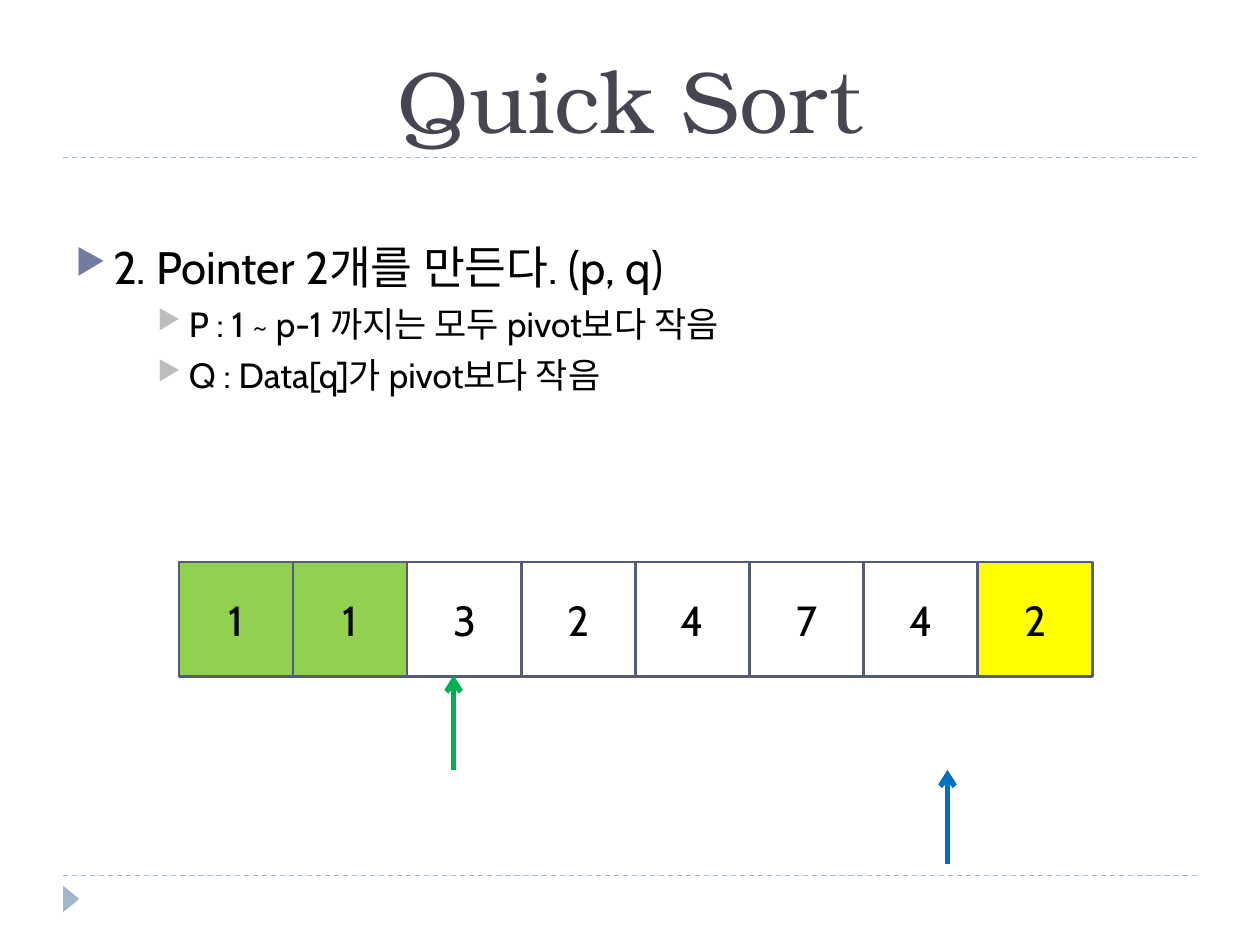
import pptx
import pptx.dml.color
import pptx.enum.dml
import pptx.enum.shapes
import pptx.enum.text
import pptx.oxml
import pptx.oxml.ns
import pptx.util
from pptx.util import Inches

THEME = {
    "title": {"name": "TeX Gyre Bonum", "size": 50, "color": "464653"},
    "point": {"name": "Cabin", "size": 26, "color": "000000"},
    "detail": {"name": "Cabin", "size": 20, "color": "000000"},
    "cell": {"name": "Cabin", "size": 24, "color": "000000"},
    "accent": "9FB8CD",
    "cell_line": "545C79",
    "smaller": "92D050",
    "unsorted": "FFFFFF",
    "pivot": "FFFF00",
}

TITLE = "Quick Sort"
POINTS = [
    (0, "2. Pointer 2개를 만든다. (p, q)"),
    (1, "P : 1 ~ p-1 까지는 모두 pivot보다 작음"),
    (1, "Q : Data[q]가 pivot보다 작음"),
]
LEVELS = [
    {"style": "point", "margin": 0.3, "indent": -0.3, "before": 6, "bullet": "727CA3"},
    {"style": "detail", "margin": 0.9, "indent": -0.25, "before": 5, "bullet": "BDBDBD"},
]
DATA = [
    (1, "smaller"), (1, "smaller"), (3, "unsorted"), (2, "unsorted"),
    (4, "unsorted"), (7, "unsorted"), (4, "unsorted"), (2, "pivot"),
]
CELL_SIZE, CELL_TOP = 0.91, 4.46
FIRST_LEFT, LAST_LEFT = 1.42, 7.76
POINTERS = [(3.6, 5.36, "00B050"), (7.52, 6.11, "0070C0")]
POINTER_LENGTH = 0.75
RULE_TOPS = (6.95, 1.25)


def rgb(value):
    return pptx.dml.color.RGBColor.from_string(value)


def format_font(font, style):
    values = THEME[style]
    font.name = values["name"]
    font.size = pptx.util.Pt(values["size"])
    font.color.rgb = rgb(values["color"])


def append_xml(parent, *fragments):
    namespace = pptx.oxml.ns.nsdecls("a")
    for tag, attributes in fragments:
        parent.append(pptx.oxml.parse_xml(f"<a:{tag} {namespace} {attributes}/>"))


def add_line(slide, start, end, color, width):
    line = slide.shapes.add_connector(
        pptx.enum.shapes.MSO_CONNECTOR.STRAIGHT, *map(Inches, start + end))
    line.line.color.rgb = rgb(color)
    line.line.width = pptx.util.Pt(width)
    append_xml(line._element.spPr, ("effectLst", ""))
    return line


def add_shape(slide, kind, box, fill):
    shape = slide.shapes.add_shape(kind, *map(Inches, box))
    shape.shadow.inherit = False
    shape.fill.solid()
    shape.fill.fore_color.rgb = rgb(fill)
    return shape


def add_frame(slide):
    """Draw the dashed rules and the corner triangle."""
    for top in RULE_TOPS:
        rule = add_line(slide, (0.5, top), (9.5, top), THEME["accent"], 0.75)
        rule.line.dash_style = pptx.enum.dml.MSO_LINE.DASH
    corner = add_shape(slide, pptx.enum.shapes.MSO_SHAPE.ISOSCELES_TRIANGLE,
                       (0.46, 7.07, 0.21, 0.13), THEME["accent"])
    corner.rotation = 90
    corner.line.fill.background()


def add_title(slide):
    title = slide.shapes.title
    box = {"left": 0.5, "top": 0.17, "width": 9, "height": 1.08}
    for name, value in box.items():
        setattr(title, name, Inches(value))
    title.text_frame.text = TITLE
    title.text_frame.vertical_anchor = pptx.enum.text.MSO_ANCHOR.BOTTOM
    paragraph = title.text_frame.paragraphs[0]
    paragraph.alignment = pptx.enum.text.PP_ALIGN.CENTER
    format_font(paragraph.runs[0].font, "title")


def add_points(slide):
    frame = slide.shapes.add_textbox(*map(Inches, (0.5, 1.85, 9, 4.88))).text_frame
    frame.word_wrap = True
    for index, (level, text) in enumerate(POINTS):
        paragraph = frame.add_paragraph() if index else frame.paragraphs[0]
        values = LEVELS[level]
        properties = paragraph._p.get_or_add_pPr()
        properties.set("marL", str(Inches(values["margin"])))
        properties.set("indent", str(Inches(values["indent"])))
        color = pptx.oxml.parse_xml(
            f'<a:buClr {pptx.oxml.ns.nsdecls("a")}><a:srgbClr val="{values["bullet"]}"/></a:buClr>')
        properties.append(color)
        append_xml(properties, ("buSzPct", 'val="76000"'), ("buChar", 'char="▶"'))
        paragraph.level = level
        if index:
            paragraph.space_before = pptx.util.Pt(values["before"])
        run = paragraph.add_run()
        run.text = text
        format_font(run.font, values["style"])


def add_cells(slide):
    pitch = (LAST_LEFT - FIRST_LEFT) / (len(DATA) - 1)
    for index, (value, state) in enumerate(DATA):
        box = (FIRST_LEFT + index * pitch, CELL_TOP, CELL_SIZE, CELL_SIZE)
        cell = add_shape(slide, pptx.enum.shapes.MSO_SHAPE.RECTANGLE, box, THEME[state])
        cell.line.color.rgb = rgb(THEME["cell_line"])
        cell.line.width = pptx.util.Pt(1.5)
        cell.text_frame.text = str(value)
        cell.text_frame.vertical_anchor = pptx.enum.text.MSO_ANCHOR.MIDDLE
        paragraph = cell.text_frame.paragraphs[0]
        paragraph.alignment = pptx.enum.text.PP_ALIGN.CENTER
        format_font(paragraph.runs[0].font, "cell")


def add_pointers(slide):
    for left, tip, color in POINTERS:
        arrow = add_line(slide, (left, tip + POINTER_LENGTH), (left, tip), color, 3)
        append_xml(arrow.line._get_or_add_ln(), ("tailEnd", 'type="arrow"'))


def main():
    presentation = pptx.Presentation()
    presentation.slide_width, presentation.slide_height = Inches(10), Inches(7.5)
    slide = presentation.slides.add_slide(presentation.slide_layouts[5])
    add_frame(slide)
    add_title(slide)
    add_points(slide)
    add_cells(slide)
    add_pointers(slide)
    presentation.save("out.pptx")


if __name__ == "__main__":
    main()
